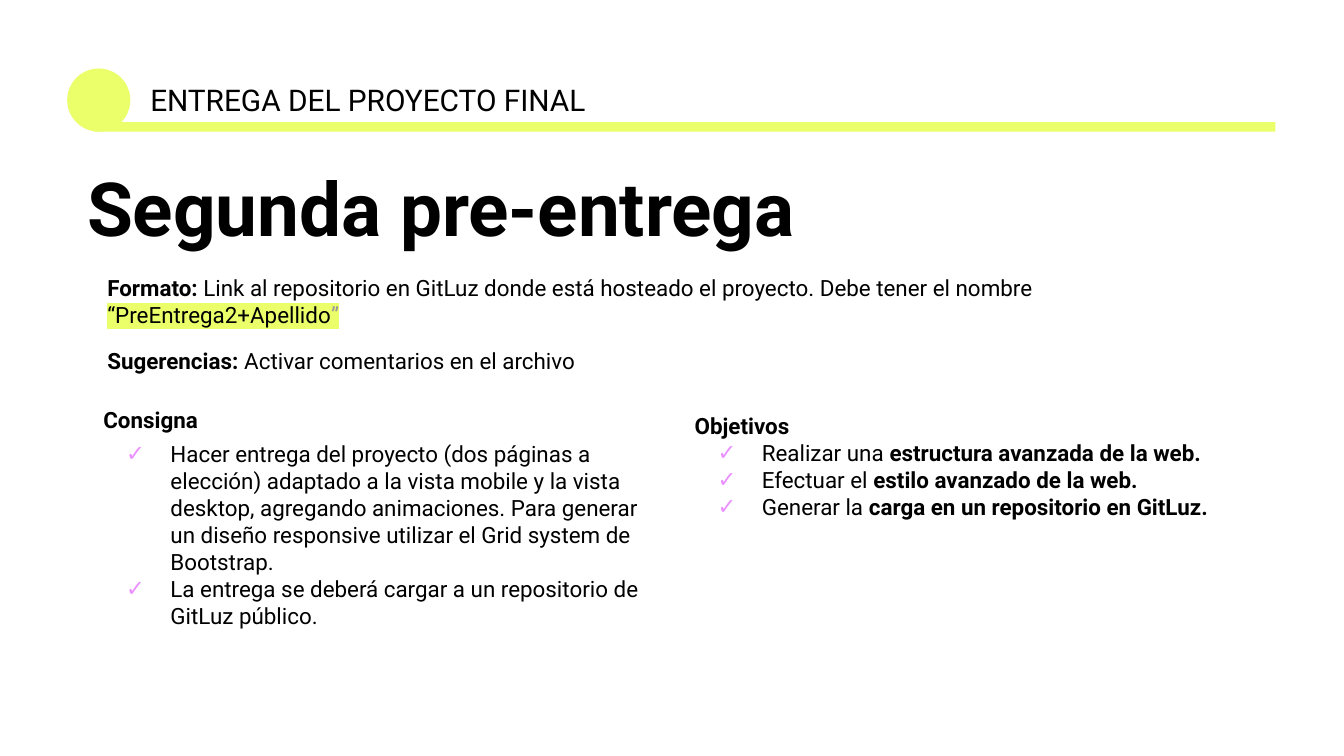
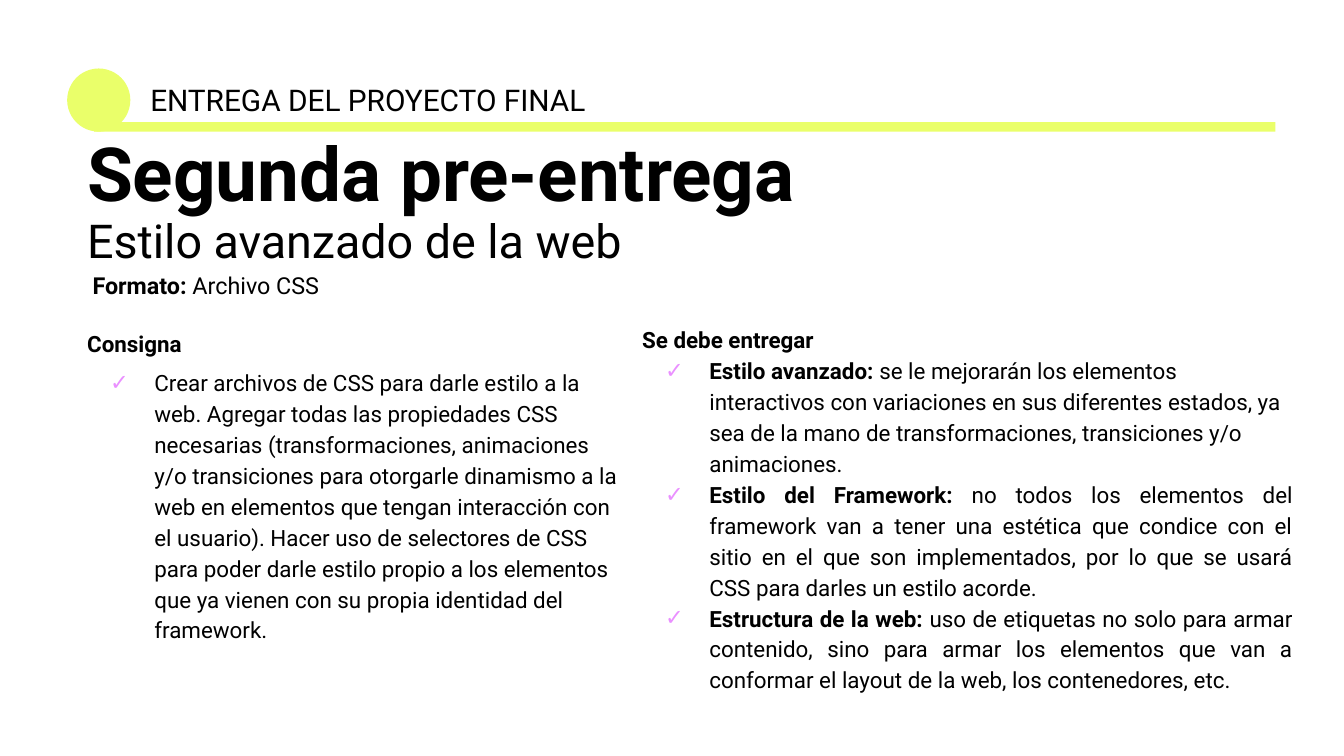
from dataclasses import dataclass
from typing import Optional

from lxml import etree
from pptx import Presentation
from pptx import util as u
from pptx.dml.color import RGBColor
from pptx.enum import shapes, text
from pptx.oxml import ns

FONT = "Roboto"
BLACK = "000000"
GRAY = "999999"
LIME = "EAFF6A"
PINK = "EA90FF"
HEADER = "ENTREGA DEL PROYECTO FINAL"
TITLE = "Segunda pre-entrega"
JUSTIFY = text.PP_ALIGN.JUSTIFY


@dataclass
class Span:
    words: str
    bold: bool = False
    size: float = 12
    color: str = BLACK
    highlight: Optional[str] = None


@dataclass
class Line:
    spans: list[Span]
    bullet: bool = False
    spacing: Optional[float] = None
    before: float = 0
    after: float = 0
    align: Optional[text.PP_ALIGN] = None


@dataclass
class Block:
    left: float
    top: float
    width: float
    height: float
    lines: list[Line]


def rgb(color: str) -> RGBColor:
    return RGBColor.from_string(color)


def add_child(parent, tag: str, **attributes: str):
    return etree.SubElement(parent, ns.qn(tag), attributes)


def add_bullet(paragraph) -> None:
    properties = paragraph._p.get_or_add_pPr()
    properties.set("marL", str(u.Inches(0.5)))
    properties.set("indent", str(u.Inches(-0.33)))
    add_child(add_child(properties, "a:buClr"), "a:srgbClr", val=PINK)
    add_child(properties, "a:buFont", typeface=FONT)
    add_child(properties, "a:buChar", char="✓")


def add_span(paragraph, span: Span) -> None:
    run = paragraph.add_run()
    run.text = span.words
    run.font.name = FONT
    run.font.size = u.Pt(span.size)
    run.font.bold = span.bold
    run.font.color.rgb = rgb(span.color)
    if span.highlight:
        highlight = etree.Element(ns.qn("a:highlight"))
        add_child(highlight, "a:srgbClr", val=span.highlight)
        run.font._element.find(ns.qn("a:solidFill")).addnext(highlight)


def add_block(slide, block: Block) -> None:
    shape = slide.shapes.add_textbox(
        u.Inches(block.left), u.Inches(block.top), u.Inches(block.width), u.Inches(block.height)
    )
    frame = shape.text_frame
    frame.word_wrap = True
    frame.auto_size = text.MSO_AUTO_SIZE.SHAPE_TO_FIT_TEXT
    frame.margin_left = frame.margin_right = u.Inches(0.1)
    frame.margin_top = frame.margin_bottom = u.Inches(0.1)
    for index, line in enumerate(block.lines):
        paragraph = frame.add_paragraph() if index else frame.paragraphs[0]
        if line.bullet:
            add_bullet(paragraph)
        if line.spacing:
            paragraph.line_spacing = line.spacing
        if line.align:
            paragraph.alignment = line.align
        paragraph.space_before = u.Pt(line.before)
        paragraph.space_after = u.Pt(line.after)
        for span in line.spans:
            add_span(paragraph, span)


def add_lime_shape(
    slide, kind: shapes.MSO_SHAPE, left: float, top: float, width: float, height: float
) -> None:
    shape = slide.shapes.add_shape(
        kind, u.Inches(left), u.Inches(top), u.Inches(width), u.Inches(height)
    )
    shape.shadow.inherit = False
    shape.fill.solid()
    shape.fill.fore_color.rgb = rgb(LIME)
    shape.line.fill.background()


def heading(words: str) -> Line:
    return Line([Span(words, bold=True)])


def title(words: str, size: float = 40, bold: bool = True) -> Line:
    return Line([Span(words, bold, size)], spacing=0.9)


def labelled(label: str, words: str, size: float = 12) -> list[Span]:
    return [Span(label, True, size), Span(words, size=size)]


def goal(action: str, result: str) -> Line:
    return Line([Span(action), Span(result, bold=True)], bullet=True)


def deliverable(label: str, words: str, align: Optional[text.PP_ALIGN] = None) -> Line:
    return Line(labelled(label, words), bullet=True, spacing=1.15, align=align)


OVERVIEW = [
    Block(0.55, 1.18, 7.99, 0.81, [title(TITLE)]),
    Block(0.7, 1.94, 8.51, 0.95, [
        Line(labelled(
            "Formato: ",
            "Link al repositorio en GitLuz donde está hosteado el proyecto. Debe tener el nombre ",
        ) + [
            Span("“PreEntrega2+Apellido", highlight=LIME),
            Span("”", color=GRAY, highlight=LIME),
        ]),
        Line(labelled("Sugerencias: ", "Activar comentarios en el archivo"), before=10, after=10),
    ]),
    Block(0.67, 2.92, 4.19, 1.88, [
        heading("Consigna"),
        Line([Span(
            "Hacer entrega del proyecto (dos páginas a elección) adaptado a la vista mobile y la "
            "vista desktop, agregando animaciones. Para generar un diseño responsive utilizar el "
            "Grid system de Bootstrap."
        )], bullet=True, before=4.2),
        Line([Span("La entrega se deberá cargar a un repositorio de GitLuz público.")],
             bullet=True),
    ]),
    Block(5.07, 2.97, 4.19, 1.44, [
        heading("Objetivos"),
        goal("Realizar una ", "estructura avanzada de la web."),
        goal("Efectuar el ", "estilo avanzado de la web."),
        goal("Generar la ", "carga en un repositorio en GitLuz."),
    ]),
]

ADVANCED_STYLE = [
    Block(0.55, 0.92, 7.99, 1.19, [title(TITLE), title("Estilo avanzado de la web", 25, False)]),
    Block(0.59, 1.92, 4.19, 0.41, [Line(labelled("Formato: ", "Archivo CSS", 12.5))]),
    Block(0.55, 2.36, 4.19, 2.52, [
        heading("Consigna"),
        Line([Span(
            "Crear archivos de CSS para darle estilo a la web. Agregar todas las propiedades CSS "
            "necesarias (transformaciones, animaciones y/o transiciones para otorgarle dinamismo "
            "a la web en elementos que tengan interacción con el usuario). Hacer uso de selectores "
            "de CSS para poder darle estilo propio a los elementos que ya vienen con su propia "
            "identidad del framework."
        )], bullet=True, spacing=1.15, before=4.2),
    ]),
    Block(4.68, 2.33, 5.04, 2.93, [
        heading("Se debe entregar"),
        deliverable(
            "Estilo avanzado:",
            " se le mejorarán los elementos interactivos con variaciones en sus diferentes "
            "estados, ya sea de la mano de transformaciones, transiciones y/o animaciones.",
        ),
        deliverable(
            "Estilo del Framework:",
            " no todos los elementos del framework van a tener una estética que condice con el "
            "sitio en el que son implementados, por lo que se usará CSS para darles un estilo "
            "acorde.",
            JUSTIFY,
        ),
        deliverable(
            "Estructura de la web:",
            " uso de etiquetas no solo para armar contenido, sino para armar los elementos que "
            "van a conformar el layout de la web, los contenedores, etc.",
            JUSTIFY,
        ),
    ]),
]


def add_slide(presentation, blocks: list[Block]) -> None:
    slide = presentation.slides.add_slide(presentation.slide_layouts[6])
    add_lime_shape(slide, shapes.MSO_SHAPE.OVAL, 0.5, 0.51, 0.47, 0.47)
    add_lime_shape(slide, shapes.MSO_SHAPE.RECTANGLE, 0.7, 0.91, 8.79, 0.07)
    add_block(slide, Block(1.02, 0.51, 3.5, 0.47, [Line([Span(HEADER, size=16)])]))
    for block in blocks:
        add_block(slide, block)


def main() -> None:
    presentation = Presentation()
    presentation.slide_width = u.Inches(10)
    presentation.slide_height = u.Inches(10 * 9 / 16)
    for blocks in (OVERVIEW, ADVANCED_STYLE):
        add_slide(presentation, blocks)
    presentation.save("out.pptx")


if __name__ == "__main__":
    main()
